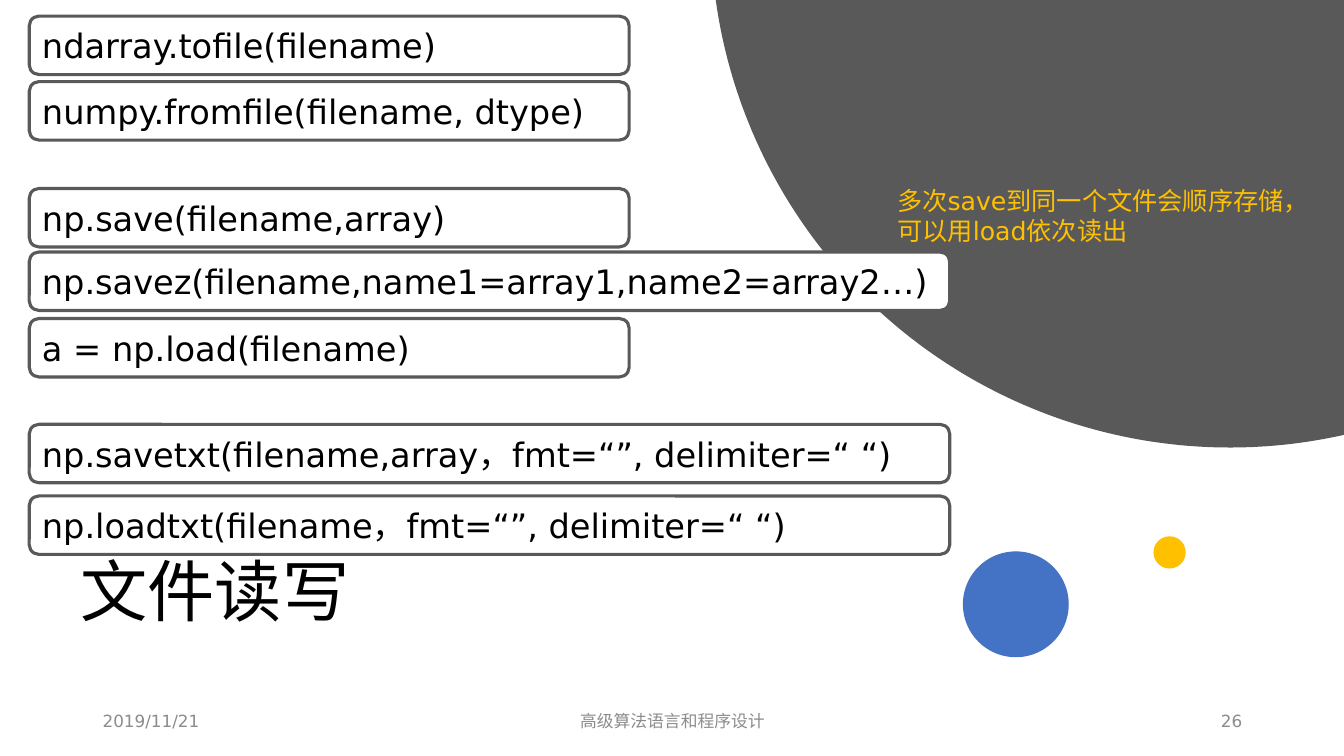
import math

from pptx import Presentation
from pptx.enum import shapes, text
from pptx.dml.color import RGBColor
from pptx.oxml import ns, xmlchemy
from pptx.util import Inches, Pt

COLORS = {"white": "FFFFFF", "black": "000000", "dark": "595959",
          "blue": "4472C4", "gold": "FFC000", "gray": "8C8C8C"}
LATIN, CJK = "DejaVu Sans", "Noto Sans CJK SC"
SLIDE_W, SLIDE_H = 13.33, 7.5
NARROW, WIDE = 5.95, 9.13

# Top edge, width and text of each call
CALLS = [
    (0.16, NARROW, "ndarray.tofile(filename)"),
    (0.81, NARROW, "numpy.fromfile(filename, dtype)"),
    (1.87, NARROW, "np.save(filename,array)"),
    (2.5, WIDE, "np.savez(filename,name1=array1,name2=array2…)"),
    (3.16, NARROW, "a = np.load(filename)"),
    (4.21, WIDE, "np.savetxt(filename,array，fmt=“”, delimiter=“ “)"),
    (4.92, WIDE, "np.loadtxt(filename，fmt=“”, delimiter=“ “)"),
]


def rgb(color):
    return RGBColor.from_string(COLORS[color])


def paint(shape, fill, line=None):
    shape.shadow.inherit = False
    shape.fill.solid()
    shape.fill.fore_color.rgb = rgb(fill)
    if line:
        shape.line.color.rgb = rgb(line)
        shape.line.width = Pt(2.25)
    else:
        shape.line.fill.background()


def write(shape, words, size, color, align=text.PP_ALIGN.LEFT,
          anchor=text.MSO_ANCHOR.MIDDLE, latin=LATIN):
    frame = shape.text_frame
    frame.word_wrap = True
    frame.vertical_anchor = anchor
    frame.text = words
    paragraph = frame.paragraphs[0]
    paragraph.alignment = align
    font = paragraph.runs[0].font
    font.size = Pt(size)
    font.color.rgb = rgb(color)
    font.name = latin
    # East Asian typeface follows the latin one
    east_asian = xmlchemy.OxmlElement("a:ea")
    east_asian.set("typeface", CJK)
    font._element.find(ns.qn("a:latin")).addnext(east_asian)
    return paragraph


def add_label(slide, box, words, size, color, **style):
    label = slide.shapes.add_textbox(*map(Inches, box))
    return write(label, words, size, color, **style)


def add_backdrop(slide, center_x, center_y, radius):
    """Large disc cut off by the top and right slide edges."""
    start = math.acos((SLIDE_W - center_x) / radius)
    end = math.pi + math.asin(center_y / radius)
    steps = 120
    angles = [start + (end - start) * i / steps for i in range(steps + 1)]
    arc = [(center_x + radius * math.cos(a), center_y + radius * math.sin(a))
           for a in angles]
    outline = slide.shapes.build_freeform(Inches(SLIDE_W), 0)
    outline.add_line_segments([(Inches(x), Inches(y)) for x, y in arc])
    paint(outline.convert_to_shape(), "dark")


def add_dot(slide, left, top, size, color):
    dot = slide.shapes.add_shape(shapes.MSO_SHAPE.OVAL, Inches(left), Inches(top),
                                 Inches(size), Inches(size))
    paint(dot, color)


def add_footer(slide, top, height):
    align = text.PP_ALIGN
    for left, width, words, side in (
            (0.92, 3, "2019/11/21", align.LEFT),
            (4.42, 4.5, "高级算法语言和程序设计", align.CENTER),
            (9.42, 3, "26", align.RIGHT)):
        add_label(slide, (left, top, width, height), words, 12, "gray", align=side)


def add_calls(slide, left, height):
    for top, width, code in CALLS:
        call = slide.shapes.add_shape(
            shapes.MSO_SHAPE.ROUNDED_RECTANGLE,
            *map(Inches, (left, top, width, height)))
        paint(call, "white", "dark")
        write(call, code, 24, "black")


def main():
    deck = Presentation()
    deck.slide_width, deck.slide_height = Inches(SLIDE_W), Inches(SLIDE_H)
    slide = deck.slides.add_slide(deck.slide_layouts[6])

    # Title
    title = add_label(slide, (0.7, 4.95, 8.1, 1.9), "文件读写", 48, "black", latin=CJK)
    title.line_spacing = 0.9

    # Decoration
    add_backdrop(slide, 12.2, -0.71, 5.15)
    add_dot(slide, 9.55, 5.47, 1.05, "blue")
    add_dot(slide, 11.44, 5.32, 0.32, "gold")

    # Footer, calls and remark
    add_footer(slide, 6.95, 0.4)
    add_calls(slide, 0.29, 0.58)
    add_label(slide, (8.8, 1.79, 4.04, 0.71),
              "多次save到同一个文件会顺序存储，可以用load依次读出",
              18, "gold", anchor=text.MSO_ANCHOR.TOP)

    deck.save("out.pptx")


if __name__ == "__main__":
    main()
